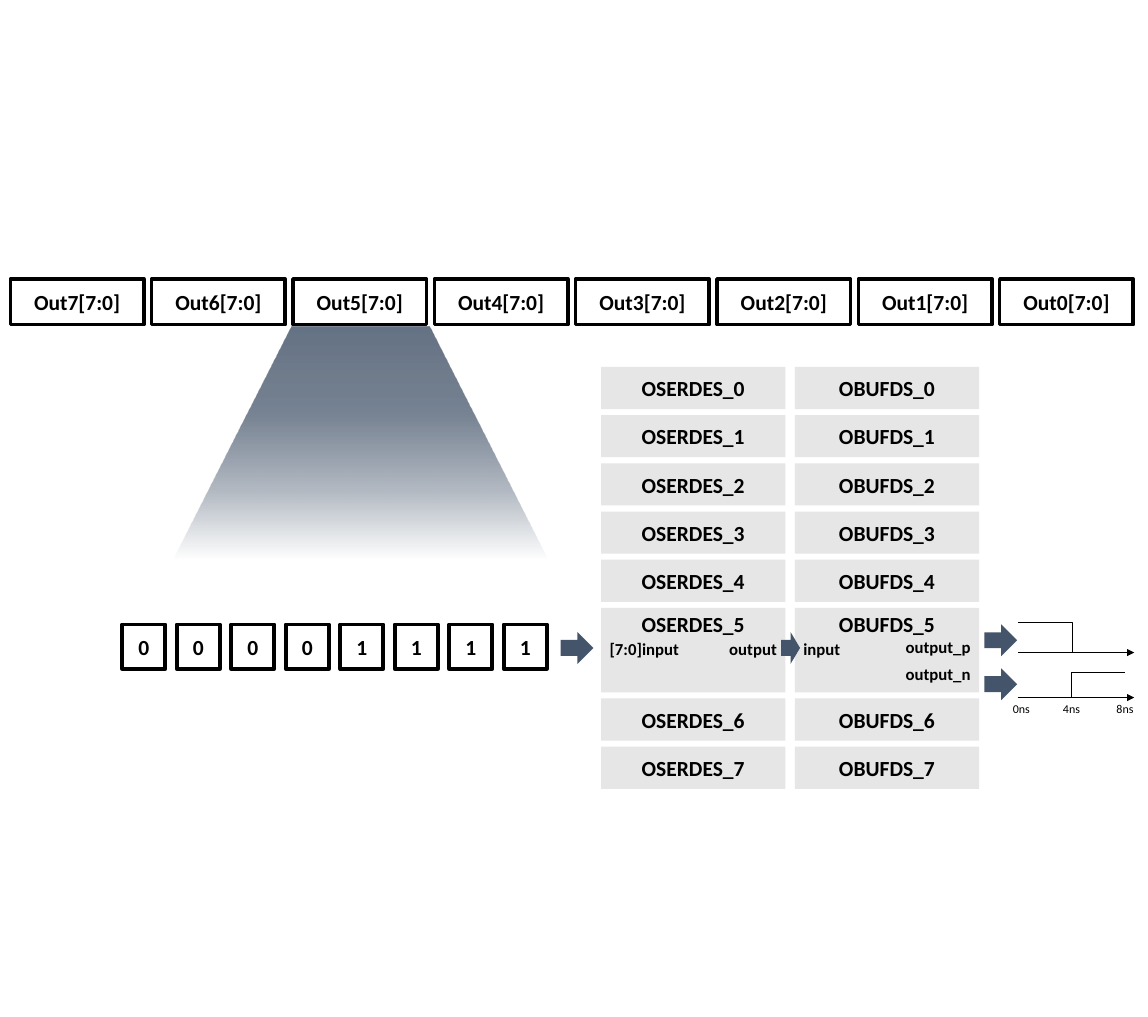
from typing import NamedTuple

from lxml import etree
from pptx import Presentation
from pptx.dml.color import RGBColor
from pptx.enum.shapes import MSO_CONNECTOR, MSO_SHAPE
from pptx.enum.text import MSO_ANCHOR, PP_ALIGN
from pptx.oxml import parse_xml
from pptx.oxml.ns import nsdecls, qn
from pptx.util import Inches, Pt

RECTANGLE, TRAPEZOID, ARROW = MSO_SHAPE.RECTANGLE, MSO_SHAPE.TRAPEZOID, MSO_SHAPE.RIGHT_ARROW
STRAIGHT, ELBOW = MSO_CONNECTOR.STRAIGHT, MSO_CONNECTOR.ELBOW
LEFT, CENTER, RIGHT = PP_ALIGN.LEFT, PP_ALIGN.CENTER, PP_ALIGN.RIGHT
TOP, MIDDLE = MSO_ANCHOR.TOP, MSO_ANCHOR.MIDDLE

COLORS = {"ink": "000000", "block": "E7E6E6", "slate": "44546A"}
FONT = "Calibri"
BEAM_STOPS = [(0, 82), (38, 72), (71, 40), (100, 0)]
WIDE_ROW = 5
ROW_HEIGHT, ROW_GAP = 10.02, 1.43
PORTS = {
    "OSERDES": [("[7:0]input", LEFT, 37), ("output", RIGHT, 37)],
    "OBUFDS": [("input", LEFT, 37), ("output_p", RIGHT, 35), ("output_n", RIGHT, 66)],
}


class Box(NamedTuple):
    """A rectangle on the page, in EMU."""

    left: int
    top: int
    width: int
    height: int

    def point(self, x, y):
        """Return the point at percent shares of this box."""
        return int(self.left + self.width * x / 100), int(self.top + self.height * y / 100)

    def inner(self, x, y, width, height):
        """Return the inner box given as percent shares of this box."""
        return Box(*self.point(x, y), int(self.width * width / 100), int(self.height * height / 100))

    def columns(self, count, gap):
        """Split this box into equal columns with a gap in percent."""
        width = (100 - gap * (count - 1)) / count
        return [self.inner(index * (width + gap), 0, width, 100) for index in range(count)]


def color(name):
    """Return the named colour."""
    return RGBColor.from_string(COLORS[name])


def write(shape, text, size, bold=True, align=CENTER, anchor=MIDDLE):
    """Set and format one line of text in a shape."""
    frame = shape.text_frame
    frame.word_wrap = True
    frame.vertical_anchor = anchor
    frame.text = text
    para = frame.paragraphs[0]
    para.alignment = align
    font = para.runs[0].font
    font.name, font.size, font.bold = FONT, Pt(size), bold
    font.color.rgb = color("ink")


def add_label(page, box, text, size, **style):
    """Add a plain text box."""
    write(page.shapes.add_textbox(*box), text, size, **style)


def add_block(page, kind, box, fill=None, line_width=0):
    """Add a preset shape with an optional fill and outline."""
    shape = page.shapes.add_shape(kind, *box)
    shape.shadow.inherit = False
    if fill:
        shape.fill.solid()
        shape.fill.fore_color.rgb = color(fill)
    else:
        shape.fill.background()
    if line_width:
        shape.line.width = Pt(line_width)
        shape.line.color.rgb = color("ink")
    else:
        shape.line.fill.background()
    return shape


def add_line(page, kind, start, end, width, arrow=False):
    """Add a connector, with an arrowhead if asked."""
    line = page.shapes.add_connector(kind, *start, *end)
    line.line.width = Pt(width)
    line.line.color.rgb = color("ink")
    properties = line._element.spPr
    if arrow:
        etree.SubElement(properties.find(qn("a:ln")), qn("a:tailEnd"), type="triangle")
    etree.SubElement(properties, qn("a:effectLst"))


def draw_cells(page, box, texts, gap):
    """Draw a row of outlined cells."""
    for cell, text in zip(box.columns(len(texts), gap), texts):
        write(add_block(page, RECTANGLE, cell, line_width=3), text, 18)


def draw_beam(page, box):
    """Draw the fading beam from one word down to its bits."""
    beam = add_block(page, TRAPEZOID, box)
    beam.adjustments[0] = 0.51
    stops = "".join(
        f'<a:gs pos="{place * 1000}"><a:srgbClr val="{COLORS["slate"]}">'
        f'<a:alpha val="{opacity * 1000}"/></a:srgbClr></a:gs>'
        for place, opacity in BEAM_STOPS
    )
    gradient = parse_xml(
        f'<a:gradFill {nsdecls("a")} rotWithShape="1"><a:gsLst>{stops}</a:gsLst>'
        '<a:lin ang="5400000" scaled="0"/></a:gradFill>'
    )
    properties = beam._element.spPr
    properties.replace(properties.find(qn("a:noFill")), gradient)


def draw_stage(page, box, name):
    """Draw a column of eight blocks, the wide one with its ports."""
    top = 0
    for row in range(8):
        wide = row == WIDE_ROW
        height = ROW_HEIGHT * (2 if wide else 1)
        cell = box.inner(0, top, 100, height)
        block = add_block(page, RECTANGLE, cell, fill="block")
        write(block, f"{name}_{row}", 18, anchor=TOP if wide else MIDDLE)
        if wide:
            block.text_frame.margin_top = Inches(0.03)
            for text, align, port_top in PORTS[name]:
                port = cell.inner(0 if align == LEFT else 42, port_top, 58, 23)
                add_label(page, port, text, 14, align=align)
        top += height + ROW_GAP


def draw_timing(page, box):
    """Draw both output waves over their time axes."""
    for level in (40, 100):
        add_line(page, STRAIGHT, box.point(0, level), box.point(100, level), 0.5, arrow=True)
    add_line(page, ELBOW, box.point(0, 0), box.point(94, 40), 1)
    add_line(page, ELBOW, box.point(0, 100), box.point(92, 67), 1)
    for text, middle in (("0ns", 3), ("4ns", 46), ("8ns", 92)):
        add_label(page, box.inner(middle - 18.5, 99, 37, 31), text, 10, bold=False, anchor=TOP)


def draw_arrows(page, box):
    """Draw the block arrows between the stages."""
    for left, top, width in ((48.84, 62.15, 2.85), (68.04, 62.15, 1.65),
                             (85.75, 61.39, 2.85), (85.75, 65.71, 2.85)):
        add_block(page, ARROW, box.inner(left, top, width, 3.13), fill="slate")


def main():
    """Build the serializer slide and save it."""
    deck = Presentation()
    deck.slide_width, deck.slide_height = Inches(13.33), Inches(11.81)
    page = deck.slides.add_slide(deck.slide_layouts[6])
    whole = Box(0, 0, deck.slide_width, deck.slide_height)
    words = [f"Out{index}[7:0]" for index in reversed(range(8))]
    draw_cells(page, whole.inner(0.9, 27.43, 97.82, 4.49), words, 0.69)
    draw_beam(page, whole.inner(15.08, 32.09, 32.63, 22.78))
    draw_cells(page, whole.inner(10.65, 61.39, 36.98, 4.4), "00001111", 2.7)
    for name, left in (("OSERDES", 52.36), ("OBUFDS", 69.24)):
        draw_stage(page, whole.inner(left, 36.07, 16.05, 41.41), name)
    draw_timing(page, whole.inner(88.67, 61.22, 10.13, 7.37))
    draw_arrows(page, whole)
    deck.save("out.pptx")


if __name__ == "__main__":
    main()
